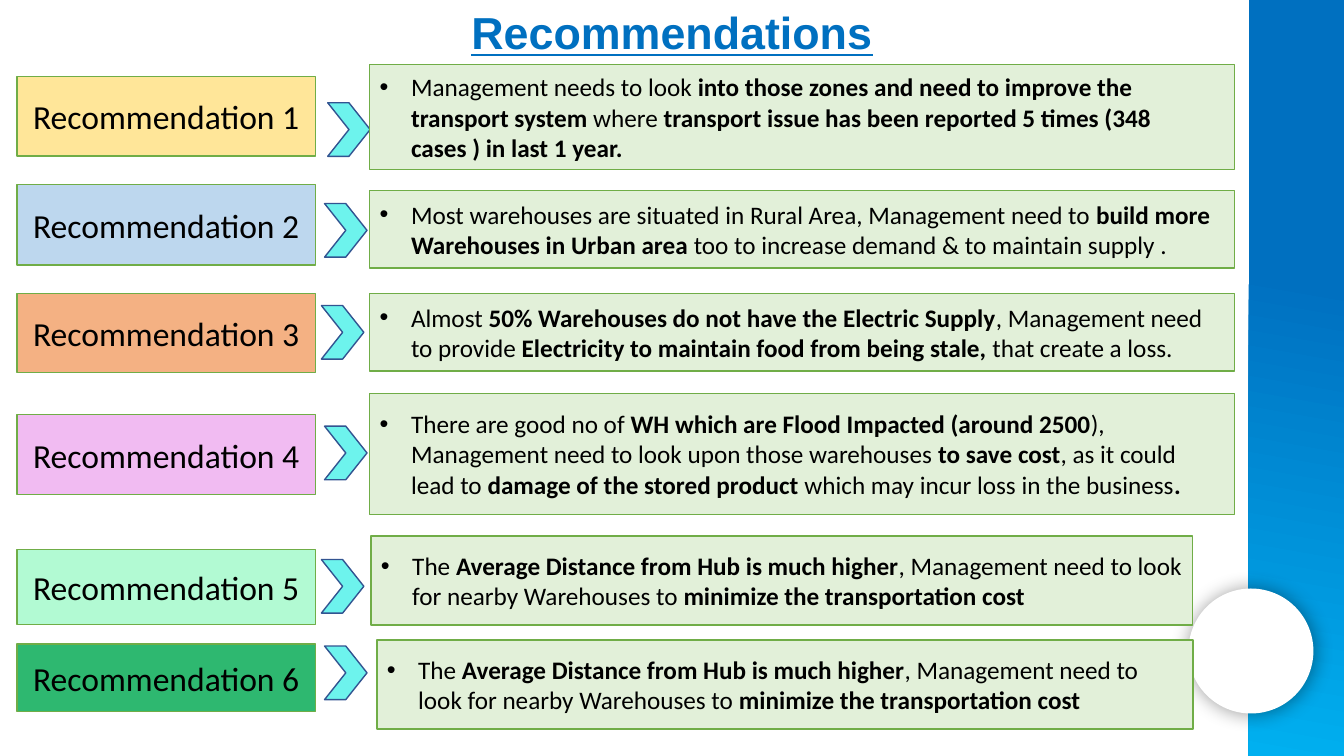
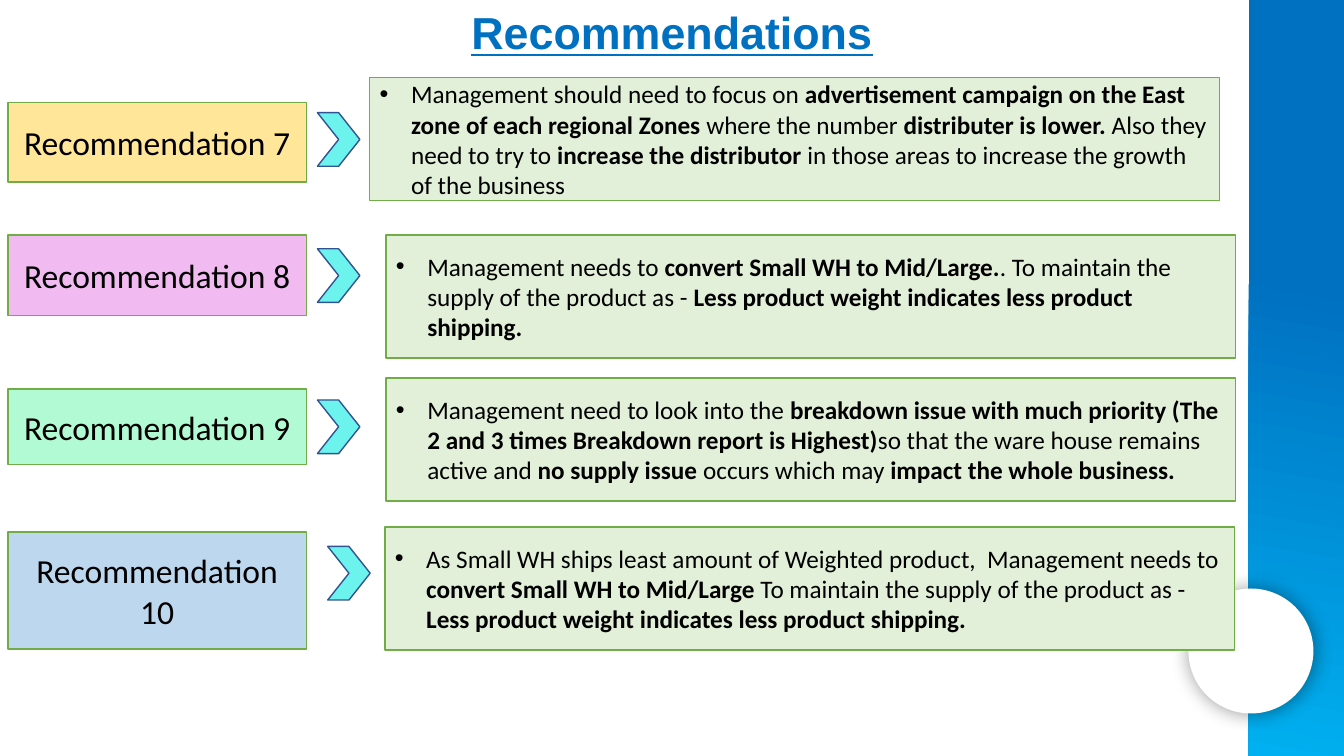
from dataclasses import dataclass

from lxml.etree import SubElement as Sub
from pptx import Presentation
from pptx.dml.color import RGBColor as Rgb
from pptx.enum.shapes import MSO_SHAPE as Kind
from pptx.enum.text import MSO_ANCHOR as Anchor, MSO_AUTO_SIZE as Fit, PP_ALIGN as Align
from pptx.oxml.ns import qn
from pptx.util import Cm, Pt

# Shared look
HUES = {
    "title": "0070C0", "sky": "00B0F0", "white": "FFFFFF", "black": "000000",
    "edge": "70AD47", "panel": "E2F0D9", "arrow": "6DF3ED", "rim": "325491",
    "sand": "FFE699", "blue": "BDD7EE", "peach": "F4B183", "pink": "F1BBF2",
    "mint": "B2FAD3", "green": "2EB870",
}
FONTS = {
    "title": {"name": "Arial", "size": Pt(32), "bold": True, "underline": True},
    "label": {"name": "Calibri", "size": Pt(24)},
    "body": {"name": "Calibri", "size": Pt(18)},
}
WIDE, HIGH = 33.87, 19.05
LABEL_W = 7.52
ARROW_W, ARROW_H = 1.07, 1.35
INDENT = 0.79


@dataclass
class Box:
    x: float
    y: float
    w: float
    h: float

    def cm(self) -> tuple:
        return Cm(self.x), Cm(self.y), Cm(self.w), Cm(self.h)


@dataclass
class Row:
    """One recommendation; ** in the text switches bold on and off."""
    hue: str
    top: float
    high: float
    arrow: tuple[float, float]
    panel: Box
    text: str


@dataclass
class Page:
    left: float
    first: int
    rows: list[Row]


HUB = ("The **Average Distance from Hub is much higher**, Management need to look "
       "for nearby Warehouses to **minimize the transportation cost**")

PAGES = [
    Page(0.43, 1, [
        Row("sand", 1.93, 2, (8.26, 2.59), Box(9.32, 1.63, 21.79, 2.64),
            "Management needs to look **into those zones and need to improve the "
            "transport system **where **transport issue has been reported 5 times "
            "(348 cases ) in last 1 year.**"),
        Row("blue", 4.65, 2.03, (8.18, 5.13), Box(9.32, 4.8, 21.79, 1.96),
            "Most warehouses are situated in Rural Area, Management need to "
            "**build more Warehouses in Urban area **too to increase demand & "
            "to maintain supply ."),
        Row("peach", 7.39, 2, (8.1, 7.7), Box(9.32, 7.39, 21.79, 1.96),
            "Almost **50% Warehouses do not have the Electric Supply**, Management "
            "need to provide **Electricity to maintain food from being stale, **"
            "that create a loss."),
        Row("pink", 10.44, 2.03, (8.18, 10.74), Box(9.32, 9.91, 21.79, 3.05),
            "There are good no of **WH which are Flood Impacted (around 2500**), "
            "Management need to look upon those warehouses **to save cost**, as it "
            "could lead to **damage of the stored product** which may incur loss in "
            "the business**.**"),
        Row("mint", 13.84, 1.9, (8.1, 14.1), Box(9.35, 13.51, 20.7, 2.24), HUB),
        Row("green", 16.23, 1.7, (8.18, 16.28), Box(9.5, 16.13, 20.57, 2.24), HUB),
    ]),
    Page(0.2, 7, [
        Row("sand", 2.59, 2, (8, 2.84), Box(9.32, 1.96, 21.41, 3.1),
            "Management should need to focus on **advertisement campaign on the East "
            "zone of each regional Zones **where the number **distributer is lower. "
            "**Also they need to try to** increase the distributor **in those areas "
            "to increase the growth of the business"),
        Row("pink", 5.92, 2.03, (8, 6.27), Box(9.73, 5.92, 21.41, 3.1),
            "Management needs to **convert Small WH to Mid/Large.**. To maintain the "
            "supply of the product as - **Less product weight indicates less product "
            "shipping.**"),
        Row("mint", 9.8, 1.9, (8, 10.08), Box(9.73, 9.53, 21.41, 3.1),
            "Management need to look into the **breakdown issue with much priority "
            "(The 2 and 3 times Breakdown report is Highest)**so that the ware house "
            "remains active and **no supply issue **occurs which may **impact the "
            "whole business.**"),
        Row("blue", 13.41, 2.95, (8.26, 13.77), Box(9.7, 13.28, 21.41, 3.1),
            "As Small WH ships least amount of Weighted product,  Management needs to "
            "**convert Small WH to Mid/Large **To maintain the supply of the product "
            "as - **Less product weight indicates less product shipping.**"),
    ]),
]


def tint(name: str) -> Rgb:
    return Rgb.from_string(HUES[name])


def style(font, role: str, hue: str = "black") -> None:
    for key, val in FONTS[role].items():
        setattr(font, key, val)
    font.color.rgb = tint(hue)


def draw(slide, kind, box: Box, fill: str, edge: str = ""):
    shape = slide.shapes.add_shape(kind, *box.cm())
    shape.shadow.inherit = False
    shape.fill.solid()
    shape.fill.fore_color.rgb = tint(fill)
    if edge:
        shape.line.color.rgb = tint(edge)
        shape.line.width = Pt(1)
    else:
        shape.line.fill.background()
    return shape


def write(shape, text: str, role: str, align):
    frame = shape.text_frame
    frame.word_wrap = True
    frame.vertical_anchor = Anchor.MIDDLE
    para = frame.paragraphs[0]
    para.alignment = align
    for num, part in enumerate(text.split("**")):
        if part:
            run = para.add_run()
            run.text = part
            style(run.font, role)
            run.font.bold = num % 2 == 1
    return para


def bullet(para) -> None:
    props = para._p.get_or_add_pPr()
    props.set("marL", str(Cm(INDENT)))
    props.set("indent", str(-Cm(INDENT)))
    Sub(props, qn("a:buFont"), typeface="Arial")
    Sub(props, qn("a:buChar"), char="•")


def shade(shape) -> None:
    # Soft outer shadow
    glow = shape.element.spPr.find(qn("a:effectLst"))
    outer = Sub(glow, qn("a:outerShdw"), blurRad=str(Pt(14)), dist=str(Pt(1)),
                dir=str(43 * 60000), algn="ctr", rotWithShape="0")
    ink = Sub(outer, qn("a:srgbClr"), val=HUES["black"])
    Sub(ink, qn("a:alpha"), val="40000")


def dress(slide) -> None:
    # Side band and disc, moved to the layout that all slides share
    band = draw(slide, Kind.RECTANGLE, Box(31.47, 0, WIDE - 31.47, HIGH), "title")
    band.fill.gradient()
    band.fill.gradient_angle = 260
    for stop, (pos, hue) in zip(band.fill.gradient_stops, [(0.37, "title"), (1, "sky")]):
        stop.position = pos
        stop.color.rgb = tint(hue)
    disc = draw(slide, Kind.OVAL, Box(29.95, 14.83, 3.15, 3.15), "white")
    shade(disc)
    for part in (band, disc):
        slide.slide_layout.shapes.element.append(part.element)


def head(slide) -> None:
    title = slide.shapes.title
    title.left, title.top, title.width, title.height = Box(0, 0, WIDE, 1.63).cm()
    frame = title.text_frame
    frame.text = "Recommendations"
    frame.auto_size = Fit.NONE
    frame.vertical_anchor = Anchor.TOP
    para = frame.paragraphs[0]
    para.alignment = Align.CENTER
    style(para.runs[0].font, "title", "title")


def fill(slide, page: Page) -> None:
    for num, row in enumerate(page.rows, page.first):
        spot = Box(page.left, row.top, LABEL_W, row.high)
        label = draw(slide, Kind.RECTANGLE, spot, row.hue, "edge")
        write(label, f"Recommendation {num}", "label", Align.CENTER)
        draw(slide, Kind.CHEVRON, Box(*row.arrow, ARROW_W, ARROW_H), "arrow", "rim")
        panel = draw(slide, Kind.RECTANGLE, row.panel, "panel", "edge")
        bullet(write(panel, row.text, "body", Align.LEFT))


def main() -> None:
    deck = Presentation()
    deck.slide_width, deck.slide_height = Cm(WIDE), Cm(HIGH)
    layout = deck.slide_layouts[5]
    for num, page in enumerate(PAGES):
        slide = deck.slides.add_slide(layout)
        if num == 0:
            dress(slide)
        head(slide)
        fill(slide, page)
    deck.save("out.pptx")


if __name__ == "__main__":
    main()
